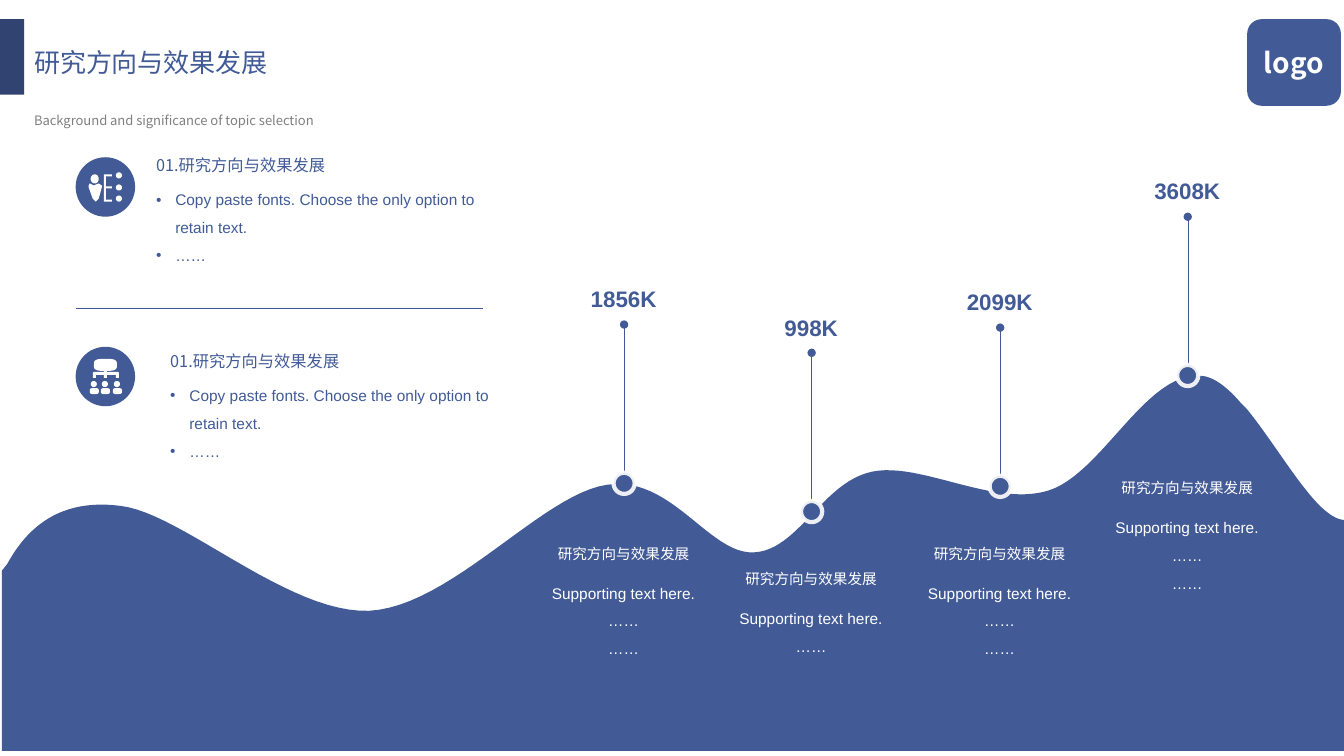
import math

from pptx import Presentation
from pptx import util as u
from pptx.dml.color import RGBColor
from pptx.enum import shapes, text
from pptx.oxml.ns import qn
from lxml import etree

COLORS = {"blue": "425B97", "navy": "304371", "gray": "808080", "white": "FFFFFF"}
CJK, LATIN = "Noto Sans CJK SC", "Arial"
TOPIC = "研究方向与效果发展"
KIND = shapes.MSO_SHAPE
MIDDLE = text.MSO_ANCHOR.MIDDLE
CENTER = text.PP_ALIGN.CENTER


def rgb(name):
    return RGBColor.from_string(COLORS[name])


def inches(*values):
    return [u.Inches(v) for v in values]


def write(tf, lines, size, font=CJK, color="blue", bold=False, align=text.PP_ALIGN.LEFT,
          anchor=text.MSO_ANCHOR.TOP, spacing=None, lowered=False, bullet=False):
    """Fill a text frame with one paragraph per line."""
    tf.word_wrap = True
    tf.auto_size = text.MSO_AUTO_SIZE.NONE
    tf.vertical_anchor = anchor
    for i, line in enumerate(lines):
        p = tf.add_paragraph() if i else tf.paragraphs[0]
        p.alignment = align
        if spacing:
            p.line_spacing = spacing
        if bullet:
            pPr = p._p.get_or_add_pPr()
            pPr.set("marL", str(u.Inches(0.19)))
            pPr.set("indent", str(-u.Inches(0.19)))
            etree.SubElement(pPr, qn("a:buFont")).set("typeface", LATIN)
            etree.SubElement(pPr, qn("a:buChar")).set("char", "•")
        r = p.add_run()
        r.text = line
        r.font.size, r.font.bold, r.font.name = u.Pt(size), bold, font
        r.font.color.rgb = rgb(color)
        rPr = r._r.get_or_add_rPr()
        etree.SubElement(rPr, qn("a:ea")).set("typeface", font)
        if lowered:
            rPr.set("baseline", "-25000")


def add_text(slide, box, lines, size, **fmt):
    write(slide.shapes.add_textbox(*inches(*box)).text_frame, lines, size, **fmt)


def paint(sp, color):
    sp.shadow.inherit = False
    sp.fill.solid()
    sp.fill.fore_color.rgb = rgb(color)
    sp.line.fill.background()
    return sp


def add_block(slide, kind, box, color="blue"):
    return paint(slide.shapes.add_shape(kind, *inches(*box)), color)


def add_outline(slide, contours, color, x=0, y=0):
    """One freeform made of closed contours, shifted by (x, y)."""
    builder = None
    for contour in contours:
        start, *rest = [inches(x + dx, y + dy) for dx, dy in contour]
        if builder is None:
            builder = slide.shapes.build_freeform(*start, scale=1.0)
        else:
            builder.move_to(*start)
        builder.add_line_segments(rest, close=True)
    return paint(builder.convert_to_shape(), color)


def rounded(x, y, w, h, power=1.0):
    """Points of an ellipse; a power below 1 squares it off."""
    def bend(v):
        return math.copysign(abs(v) ** power, v)
    angles = [math.tau * i / 32 for i in range(32)]
    return [(x + w / 2 * (1 + bend(math.cos(a))), y + h / 2 * (1 + bend(math.sin(a))))
            for a in angles]


def add_line(slide, x1, y1, x2, y2, oval_start=False):
    line = slide.shapes.add_connector(shapes.MSO_CONNECTOR.STRAIGHT, *inches(x1, y1, x2, y2))
    line.line.color.rgb = rgb("blue")
    line.line.width = u.Pt(0.25)
    if oval_start:
        etree.SubElement(line.line._get_or_add_ln(), qn("a:headEnd")).set("type", "oval")
    etree.SubElement(line._element.spPr, qn("a:effectLst"))
    return line


def header(slide, x, y):
    title = slide.shapes.title
    title.left, title.top, title.width, title.height = inches(x, y, 4.31, 0.5)
    write(title.text_frame, [TOPIC], 32, spacing=0.6, lowered=True)
    add_text(slide, (x, y + 0.72, 4.31, 0.35), ["Background and significance of topic selection"],
             16, color="gray", spacing=0.6, lowered=True)
    add_block(slide, KIND.RECTANGLE, (0, 0.19, 0.24, 0.75), "navy")
    badge = add_block(slide, KIND.ROUNDED_RECTANGLE, (12.37, 0.19, 0.93, 0.86))
    write(badge.text_frame, ["logo"], 20, color="white", bold=True, align=CENTER, anchor=MIDDLE)


def wave(slide, left, right, bottom):
    """Hills running from left to right, filled down to the bottom."""
    curves = [  # two control points and an end point each
        (0.04, 5.64, 0.05, 5.62, 0.07, 5.6), (0.27, 5.23, 0.6, 4.94, 1.2, 5.02),
        (1.8, 5.09, 2.86, 6.09, 3.66, 6.06), (4.47, 6.02, 5.38, 4.9, 6.02, 4.81),
        (6.66, 4.71, 7.04, 5.51, 7.48, 5.48), (7.92, 5.46, 8.16, 4.78, 8.65, 4.68),
        (9.13, 4.58, 9.85, 5.03, 10.39, 4.87), (10.93, 4.71, 11.37, 3.67, 11.92, 3.73),
        (12.04, 3.74, 12.17, 3.84, 12.3, 3.99), (12.33, 4.02, 12.37, 4.06, 12.4, 4.1),
        (12.74, 4.53, 13.08, 5.17, right, 5.16)]
    points, steps = [(left, 5.66)], 24
    for x1, y1, x2, y2, x3, y3 in curves:
        x0, y0 = points[-1]
        for t in (i / steps for i in range(1, steps + 1)):
            weights = ((1 - t) ** 3, 3 * t * (1 - t) ** 2, 3 * t * t * (1 - t), t ** 3)
            points.append((sum(w * x for w, x in zip(weights, (x0, x1, x2, x3))),
                           sum(w * y for w, y in zip(weights, (y0, y1, y2, y3)))))
    add_outline(slide, [points + [(right, bottom), (left, bottom)]], "blue")


def milestone(slide, x, y, value, label_gap, extra_lines):
    """Pin whose dot has its top at (x, y), with a value above and a note below."""
    add_text(slide, (x - 0.84, y + label_gap, 1.67, 0.49), [TOPIC], 18, color="white",
             align=CENTER, anchor=MIDDLE, lowered=True)
    add_text(slide, (x - 0.84, y + label_gap + 0.49, 1.67, 0.33 + 0.35 * extra_lines),
             ["Supporting text here."] + ["……"] * extra_lines, 11, font=LATIN,
             color="white", align=CENTER, spacing=1.5)
    pin = add_line(slide, x, y - 1.47, x, y, oval_start=True)
    dot = add_block(slide, KIND.OVAL, (x - 0.105, y, 0.21, 0.21))
    dot.line.color.rgb = rgb("white")
    dot.line.width = u.Pt(3)
    ring = dot.line._get_or_add_ln().find(".//" + qn("a:srgbClr"))
    etree.SubElement(ring, qn("a:alpha")).set("val", "90000")
    pin.end_connect(dot, 0)
    add_text(slide, (x - 0.5, y - 1.97, 0.99, 0.49), [value], 16, font=LATIN,
             bold=True, align=CENTER, anchor=MIDDLE)


def icon(slide, x, y, contours):
    """White contours on a round badge, placed relative to its corner."""
    add_block(slide, KIND.OVAL, (x, y, 0.59, 0.59))
    add_outline(slide, contours, "white", x, y)


def entry(slide, x, y):
    add_text(slide, (x, y + 0.37, 3.66, 1.1),
             ["Copy paste fonts. Choose the only option to retain text.", "……"], 11,
             font=LATIN, spacing=1.5, bullet=True)
    add_text(slide, (x, y, 3.66, 0.37), ["01." + TOPIC], 20, anchor=MIDDLE,
             spacing=0.6, lowered=True)


def topics(slide, x, y):
    # Person with a bracket of three options
    body = [(0.14, 0.26), (0.18, 0.28), (0.23, 0.26), (0.26, 0.28), (0.26, 0.3),
            (0.23, 0.41), (0.2, 0.44), (0.17, 0.41), (0.13, 0.3), (0.13, 0.28)]
    bracket = [(0.28, 0.17), (0.36, 0.17), (0.36, 0.19), (0.3, 0.19), (0.3, 0.29),
               (0.36, 0.29), (0.36, 0.31), (0.3, 0.31), (0.3, 0.42), (0.36, 0.42),
               (0.36, 0.44), (0.28, 0.44)]
    options = [rounded(0.4, dy, 0.06, 0.06) for dy in (0.15, 0.27, 0.38)]
    icon(slide, x, y, [rounded(0.15, 0.17, 0.08, 0.09), body, bracket] + options)
    # Bubble linked to three people
    tree = [(0.28, 0.24), (0.31, 0.24), (0.31, 0.25), (0.42, 0.25), (0.43, 0.26),
            (0.43, 0.31), (0.4, 0.31), (0.4, 0.28), (0.31, 0.28), (0.31, 0.31),
            (0.28, 0.31), (0.28, 0.28), (0.2, 0.28), (0.2, 0.31), (0.17, 0.31),
            (0.17, 0.26), (0.18, 0.25), (0.28, 0.25)]
    people = []
    for dx in (0.14, 0.25, 0.37):
        people += [rounded(dx + 0.01, 0.34, 0.06, 0.06), rounded(dx, 0.41, 0.09, 0.06, 0.6)]
    icon(slide, x, y + 1.88, [rounded(0.18, 0.12, 0.23, 0.12, 0.6), tree] + people)
    entry(slide, x + 0.7, y - 0.18)
    add_line(slide, x, y + 1.5, x + 4.04, y + 1.5)
    entry(slide, x + 0.84, y + 1.76)


def main():
    prs = Presentation()
    prs.slide_width, prs.slide_height = inches(13.33, 7.5)
    slide = prs.slides.add_slide(prs.slide_layouts[5])
    header(slide, 0.24, 0.27)
    wave(slide, 0.02, 13.35, 7.45)
    for pin in [(6.19, 4.69, "1856K", 0.47, 2), (8.05, 4.97, "998K", 0.44, 1),
                (9.92, 4.72, "2099K", 0.44, 2), (11.78, 3.62, "3608K", 0.89, 2)]:
        milestone(slide, *pin)
    topics(slide, 0.75, 1.56)
    prs.save("out.pptx")


if __name__ == "__main__":
    main()
